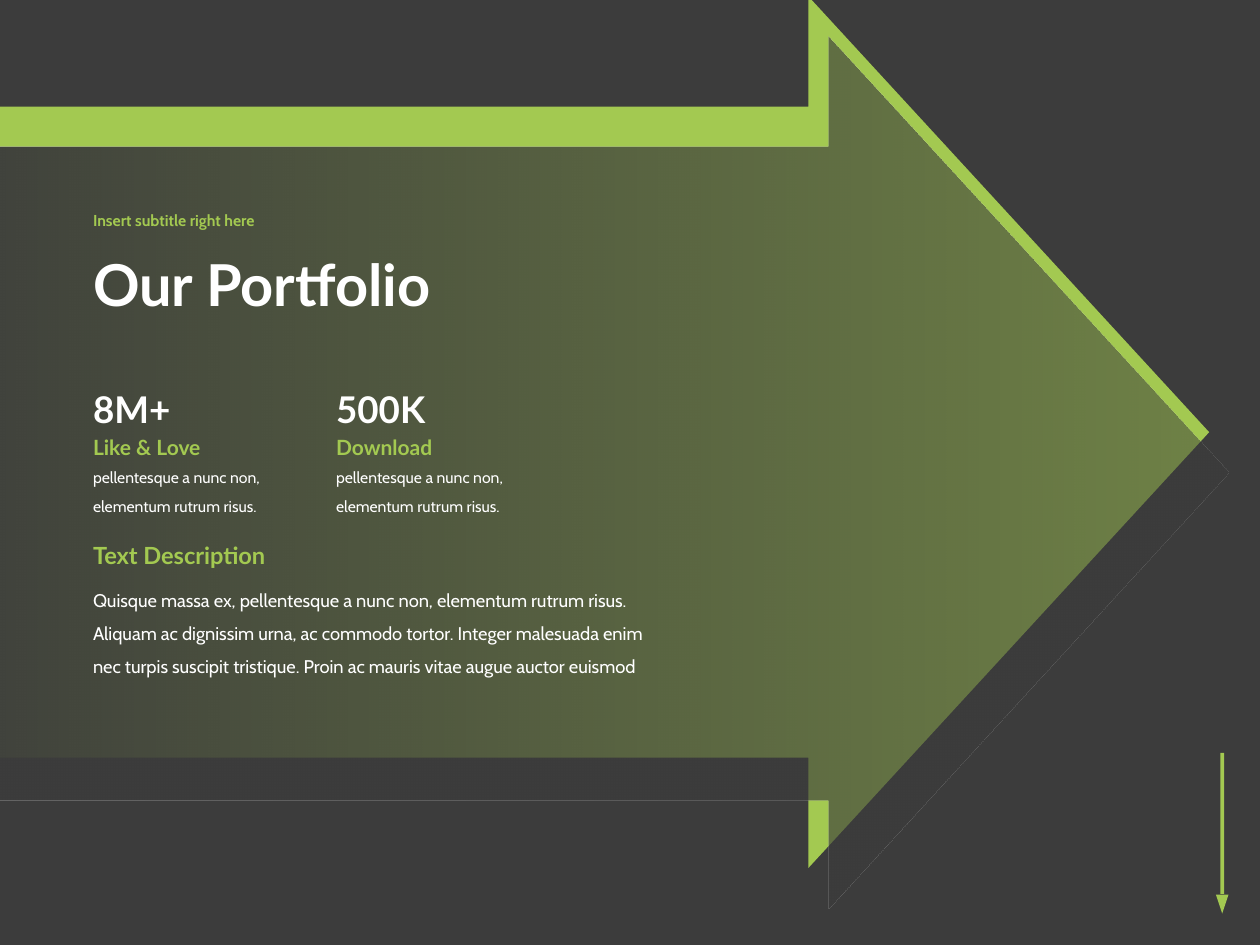
import dataclasses

import lxml.etree
import pptx
import pptx.dml.color
import pptx.enum.shapes
import pptx.enum.text
import pptx.oxml.ns
import pptx.shapes.autoshape
import pptx.slide
import pptx.util

Pt = pptx.util.Pt
Color = pptx.dml.color.RGBColor
Anchor = pptx.enum.text.MSO_ANCHOR
Preset = pptx.enum.shapes.MSO_SHAPE


@dataclasses.dataclass(frozen=True)
class Theme:
    dark: Color = Color.from_string("3C3C3C")
    green: Color = Color.from_string("A3C951")
    white: Color = Color.from_string("FFFFFF")
    heading_font: str = "Lato"
    body_font: str = "Cabin"
    title_size: float = 33
    figure_size: float = 21
    section_size: float = 13.5
    label_size: float = 12
    body_size: float = 10.5
    small_size: float = 9


THEME = Theme()


@dataclasses.dataclass(frozen=True)
class Box:
    left: float
    top: float
    width: float
    height: float

    def lengths(self) -> tuple[pptx.util.Length, ...]:
        return tuple(Pt(value) for value in dataclasses.astuple(self))


@dataclasses.dataclass(frozen=True)
class TextStyle:
    size: float
    color: Color
    name: str = THEME.heading_font
    bold: bool = True
    line_spacing: float = 1.0
    anchor: Anchor = Anchor.TOP


@dataclasses.dataclass(frozen=True)
class Statistic:
    left: float
    figure: str
    figure_width: float
    label: str
    detail: str = "pellentesque a nunc non, elementum rutrum risus."


@dataclasses.dataclass(frozen=True)
class BigArrow:
    left: float
    top: float
    shaft_length: float = 472.6
    head_length: float = 229
    height: float = 498
    shoulder: float = 62.6


TITLE = TextStyle(THEME.title_size, THEME.white, line_spacing=0.9, anchor=Anchor.MIDDLE)
SUBTITLE = TextStyle(THEME.small_size, THEME.green, THEME.body_font, line_spacing=0.9, anchor=Anchor.MIDDLE)
FIGURE = TextStyle(THEME.figure_size, THEME.white)
LABEL = TextStyle(THEME.label_size, THEME.green)
DETAIL = TextStyle(THEME.small_size, THEME.white, THEME.body_font, False, 1.5)
SECTION = TextStyle(THEME.section_size, THEME.green)
BODY = TextStyle(THEME.body_size, THEME.white, THEME.body_font, False, 1.5)

MARGIN = 46.1
STATISTICS = (
    Statistic(MARGIN, "8M+", 95.8, "Like & Love"),
    Statistic(185, "500K", 108, "Download"),
)
DESCRIPTION = (
    "Quisque massa ex, pellentesque a nunc non, elementum rutrum risus. "
    "Aliquam ac dignissim urna, ac commodo tortor. Integer malesuada enim "
    "nec turpis suscipit tristique. Proin ac mauris vitae augue auctor euismod"
)


def add_text(slide: pptx.slide.Slide, text: str, box: Box, style: TextStyle) -> None:
    frame = slide.shapes.add_textbox(*box.lengths()).text_frame
    frame.word_wrap = True
    frame.vertical_anchor = style.anchor
    paragraph = frame.paragraphs[0]
    paragraph.line_spacing = style.line_spacing
    run = paragraph.add_run()
    run.text = text
    formats = {"name": style.name, "size": Pt(style.size), "bold": style.bold}
    for attribute, value in formats.items():
        setattr(run.font, attribute, value)
    run.font.color.rgb = style.color


def paint(shape: pptx.shapes.autoshape.Shape, color: Color) -> None:
    shape.shadow.inherit = False
    shape.line.fill.background()
    shape.fill.solid()
    shape.fill.fore_color.rgb = color


def add_preset(slide: pptx.slide.Slide, preset: Preset, box: Box, rotation: float) -> None:
    shape = slide.shapes.add_shape(preset, *box.lengths())
    shape.rotation = rotation
    paint(shape, THEME.green)


def add_big_arrow(slide: pptx.slide.Slide, arrow: BigArrow) -> pptx.shapes.autoshape.Shape:
    neck = arrow.left + arrow.shaft_length
    bottom = arrow.top + arrow.height
    shaft_top = arrow.top + arrow.shoulder
    shaft_bottom = bottom - arrow.shoulder
    builder = slide.shapes.build_freeform(neck, arrow.top, scale=float(Pt(1)))
    builder.add_line_segments([
        (neck + arrow.head_length, arrow.top + arrow.height / 2),
        (neck, bottom),
        (neck, shaft_bottom),
        (arrow.left, shaft_bottom),
        (arrow.left, shaft_top),
        (neck, shaft_top),
    ], close=True)
    shape = builder.convert_to_shape()
    paint(shape, THEME.green)
    return shape


def fade(shape: pptx.shapes.autoshape.Shape, color: Color, opacities: tuple[int, int]) -> None:
    shape.fill.gradient()
    shape.fill.gradient_angle = 0
    for position, (stop, opacity) in enumerate(zip(shape.fill.gradient_stops, opacities)):
        stop.position = position
        stop.color.rgb = color
    colors = shape.fill._xPr.iter(pptx.oxml.ns.qn("a:srgbClr"))
    for element, opacity in zip(colors, opacities):
        alpha = lxml.etree.SubElement(element, pptx.oxml.ns.qn("a:alpha"))
        alpha.set("val", str(opacity * 1000))


def add_statistic(slide: pptx.slide.Slide, statistic: Statistic) -> None:
    left = statistic.left
    add_text(slide, statistic.detail, Box(left, 258.5, 136, 38.2), DETAIL)
    add_text(slide, statistic.label, Box(left, 244.8, 108, 21.6), LABEL)
    add_text(slide, statistic.figure, Box(left, 217.4, statistic.figure_width, 32.4), FIGURE)


def main() -> None:
    presentation = pptx.Presentation()
    presentation.slide_width = Pt(720)
    presentation.slide_height = Pt(540)
    slide = presentation.slides.add_slide(presentation.slide_layouts[6])
    slide.background.fill.solid()
    slide.background.fill.fore_color.rgb = THEME.dark

    add_preset(slide, Preset.RECTANGLE, Box(658.1, 469.4, 80.6, 2.2), 90)
    add_preset(slide, Preset.ISOSCELES_TRIANGLE, Box(694.8, 511.2, 7.2, 10.8), 180)
    add_big_arrow(slide, BigArrow(-10.5, -2))
    front_arrow = add_big_arrow(slide, BigArrow(0.2, 21.2))
    fade(front_arrow, THEME.dark, (95, 50))

    add_text(slide, DESCRIPTION, Box(MARGIN, 326.9, 334.1, 62.6), BODY)
    add_text(slide, "Text Description", Box(MARGIN, 305.3, 157.7, 23.8), SECTION)
    for statistic in STATISTICS:
        add_statistic(slide, statistic)
    add_text(slide, "Our Portfolio", Box(MARGIN, 127.4, 405.4, 74.2), TITLE)
    add_text(slide, "Insert subtitle right here", Box(MARGIN, 113, 405.4, 27.4), SUBTITLE)

    presentation.save("out.pptx")


if __name__ == "__main__":
    main()
